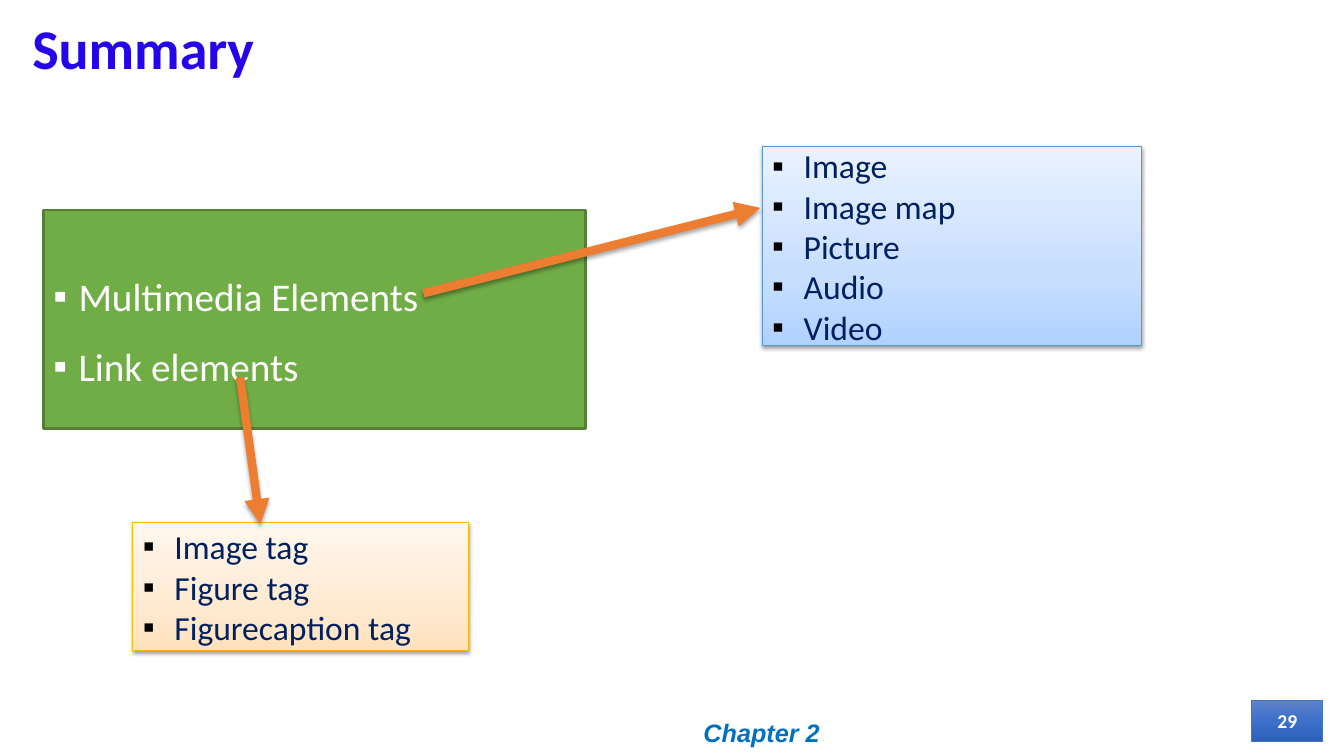
from lxml.etree import SubElement
from pptx import Presentation
from pptx.dml.color import RGBColor
from pptx.enum.shapes import MSO_CONNECTOR, MSO_SHAPE
from pptx.enum.text import MSO_ANCHOR, PP_ALIGN
from pptx.oxml.ns import qn
from pptx.util import Pt

TITLE_BLUE = RGBColor(0x25, 0x04, 0xEC)
FOOTER_BLUE = RGBColor(0x00, 0x70, 0xC0)
BADGE_LINE = RGBColor(0x44, 0x72, 0xC4)
GREEN = RGBColor(0x70, 0xAD, 0x47)
GREEN_LINE = RGBColor(0x53, 0x80, 0x35)
GOLD_LINE = RGBColor(0xF9, 0xBC, 0x00)
SKY_LINE = RGBColor(0x56, 0x98, 0xD3)
ORANGE = RGBColor(0xED, 0x7D, 0x31)
NAVY = RGBColor(0x00, 0x20, 0x60)
BLACK = RGBColor(0x00, 0x00, 0x00)
WHITE = RGBColor(0xFF, 0xFF, 0xFF)

# Gradient stops: position in percent and colour
BADGE_STOPS = [(0, RGBColor(0x5F, 0x82, 0xCA)), (50, RGBColor(0x3C, 0x70, 0xCA)),
               (100, RGBColor(0x2E, 0x60, 0xB9))]
PEACH_STOPS = [(0, RGBColor(0xFF, 0xE2, 0xBD)), (35, RGBColor(0xFF, 0xEA, 0xD1)),
               (100, RGBColor(0xFF, 0xF7, 0xEE))]
SKY_STOPS = [(0, RGBColor(0xB0, 0xD2, 0xFF)), (35, RGBColor(0xC7, 0xDE, 0xFF)),
             (100, RGBColor(0xEA, 0xF2, 0xFF))]


def fill_gradient(panel, stops, upward):
    panel.fill.gradient()
    panel.fill.gradient_angle = 90 if upward else 270
    stop_list = panel._element.spPr.find(".//" + qn("a:gsLst"))
    for old_stop in list(stop_list):
        stop_list.remove(old_stop)
    for position, color in stops:
        stop = SubElement(stop_list, qn("a:gs"), pos=str(position * 1000))
        SubElement(stop, qn("a:srgbClr"), val=str(color))


def add_shadow(effects, distance, opacity):
    shadow = SubElement(effects, qn("a:outerShdw"), blurRad=str(Pt(3.1)),
                        dist=str(Pt(distance)), dir="5400000", rotWithShape="0")
    black = SubElement(shadow, qn("a:srgbClr"), val=str(BLACK))
    SubElement(black, qn("a:alpha"), val=str(opacity * 1000))


def add_bullet(paragraph, indent, color):
    properties = paragraph._p.get_or_add_pPr()
    properties.set("marL", str(Pt(indent)))
    properties.set("indent", str(-Pt(indent)))
    bullet_color = SubElement(properties, qn("a:buClr"))
    SubElement(bullet_color, qn("a:srgbClr"), val=str(color))
    SubElement(properties, qn("a:buFont"), typeface="Arial")
    SubElement(properties, qn("a:buChar"), char="▪")


def style_font(paragraph, size, color, name="Calibri", bold=False, italic=False):
    for run in paragraph.runs:
        run.font.name, run.font.size = name, Pt(size)
        run.font.bold, run.font.italic = bold, italic
        run.font.color.rgb = color


def add_label(slide, box, text, align, **font):
    label = slide.shapes.add_textbox(*map(Pt, box))
    frame = label.text_frame
    frame.word_wrap = True
    frame.vertical_anchor = MSO_ANCHOR.MIDDLE
    frame.text = text
    frame.paragraphs[0].alignment = align
    style_font(frame.paragraphs[0], **font)
    return frame.paragraphs[0]


def add_panel(slide, box, line_color, line_width):
    panel = slide.shapes.add_shape(MSO_SHAPE.RECTANGLE, *map(Pt, box))
    panel.shadow.inherit = False
    panel.line.color.rgb = line_color
    panel.line.width = Pt(line_width)
    panel.text_frame.vertical_anchor = MSO_ANCHOR.MIDDLE
    return panel


def write_bullets(panel, items, indent, spacing, size, text_color, bullet_color):
    panel.text_frame.text = "\n".join(items)
    for paragraph in panel.text_frame.paragraphs:
        paragraph.alignment = PP_ALIGN.LEFT
        paragraph.line_spacing = spacing
        add_bullet(paragraph, indent, bullet_color)
        style_font(paragraph, size, text_color)


def add_topics(slide, box, items):
    topics = add_panel(slide, box, GREEN_LINE, 2)
    topics.fill.solid()
    topics.fill.fore_color.rgb = GREEN
    write_bullets(topics, items, 18, 1.5, 28, WHITE, WHITE)


def add_details(slide, box, items, stops, line_color):
    details = add_panel(slide, box, line_color, 0.75)
    fill_gradient(details, stops, upward=True)
    add_shadow(details._element.spPr.find(qn("a:effectLst")), 1.6, 38)
    write_bullets(details, items, 22.5, 1.0, 24, NAVY, BLACK)


def add_page_badge(slide, box, number):
    badge = add_panel(slide, box, BADGE_LINE, 0.75)
    fill_gradient(badge, BADGE_STOPS, upward=False)
    badge.text_frame.text = number
    badge.text_frame.paragraphs[0].alignment = PP_ALIGN.CENTER
    style_font(badge.text_frame.paragraphs[0], 14, WHITE, bold=True)


def add_arrow(slide, start, end):
    arrow = slide.shapes.add_connector(MSO_CONNECTOR.STRAIGHT, *map(Pt, start + end))
    arrow.line.color.rgb = ORANGE
    arrow.line.width = Pt(6)
    SubElement(arrow.line._get_or_add_ln(), qn("a:tailEnd"), type="triangle")
    add_shadow(SubElement(arrow._element.spPr, qn("a:effectLst")), 1.8, 35)


def build_summary(slide, width, height):
    # Title, footer and page number
    title = add_label(slide, (16, 12, 340, 49), "Summary", PP_ALIGN.LEFT,
                      size=40, color=TITLE_BLUE, bold=True)
    title.line_spacing = 0.9
    add_label(slide, (424, height - 31.5, 240, 29), "Chapter 2", PP_ALIGN.CENTER,
              size=18, color=FOOTER_BLUE, name="Arial", bold=True, italic=True)
    add_page_badge(slide, (width - 66, height - 39.5, 51, 29), "29")

    # Topics and their details
    add_topics(slide, (31, 150, 387, 156), ["Multimedia Elements", "Link elements"])
    add_details(slide, (95, 373, 240, 92),
                ["Image tag", "Figure tag", "Figurecaption tag"], PEACH_STOPS, GOLD_LINE)
    add_details(slide, (544.5, 104.5, 271, 142.5),
                ["Image", "Image map", "Picture", "Audio", "Video"], SKY_STOPS, SKY_LINE)

    # Arrows from topic to details
    add_arrow(slide, (302.5, 209.5), (543, 148.5))
    add_arrow(slide, (171.5, 269.5), (186, 374.5))


def main():
    deck = Presentation()
    deck.slide_width, deck.slide_height = Pt(960), Pt(540)
    slide = deck.slides.add_slide(deck.slide_layouts[6])
    build_summary(slide, 960, 540)
    deck.save("out.pptx")


if __name__ == "__main__":
    main()
